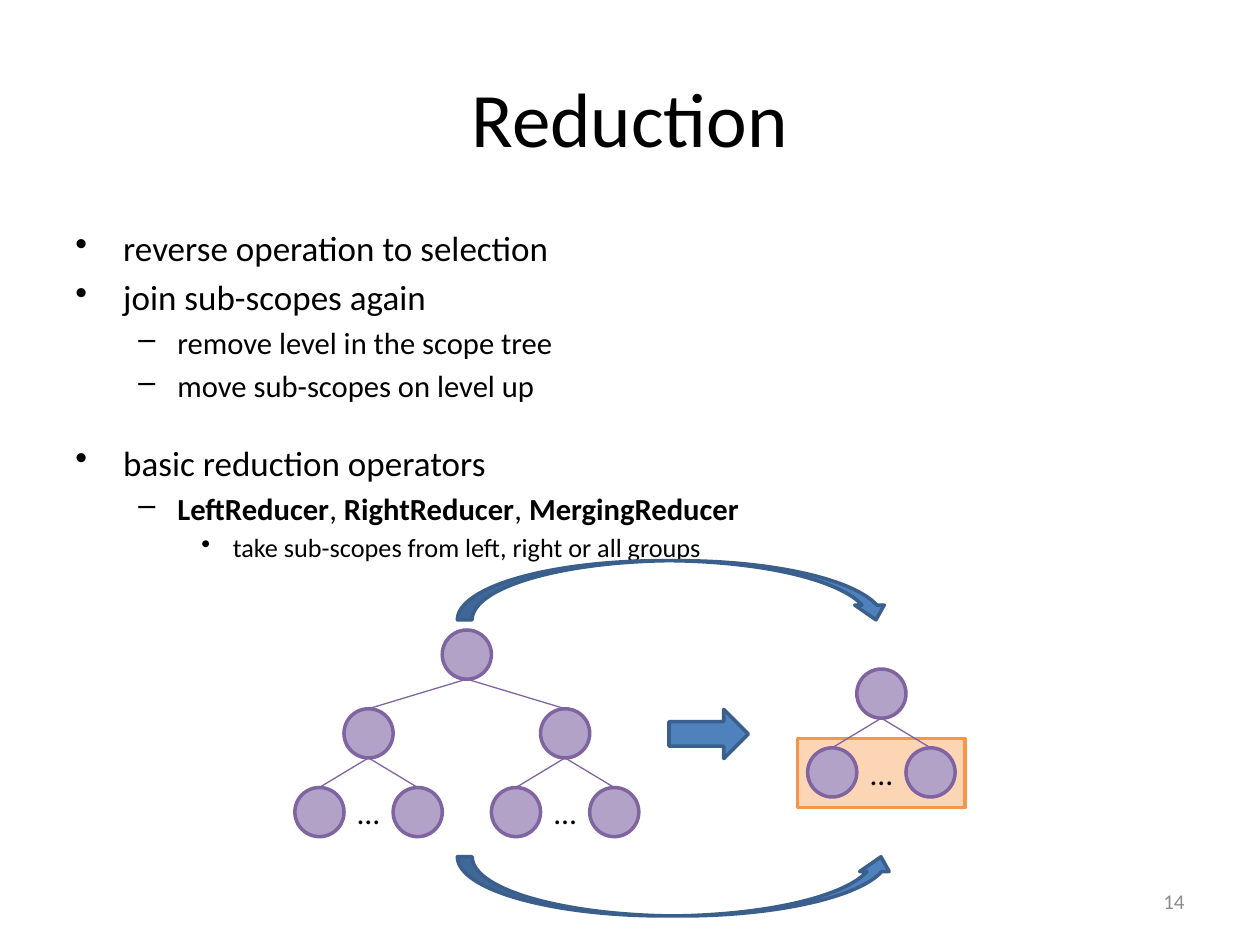
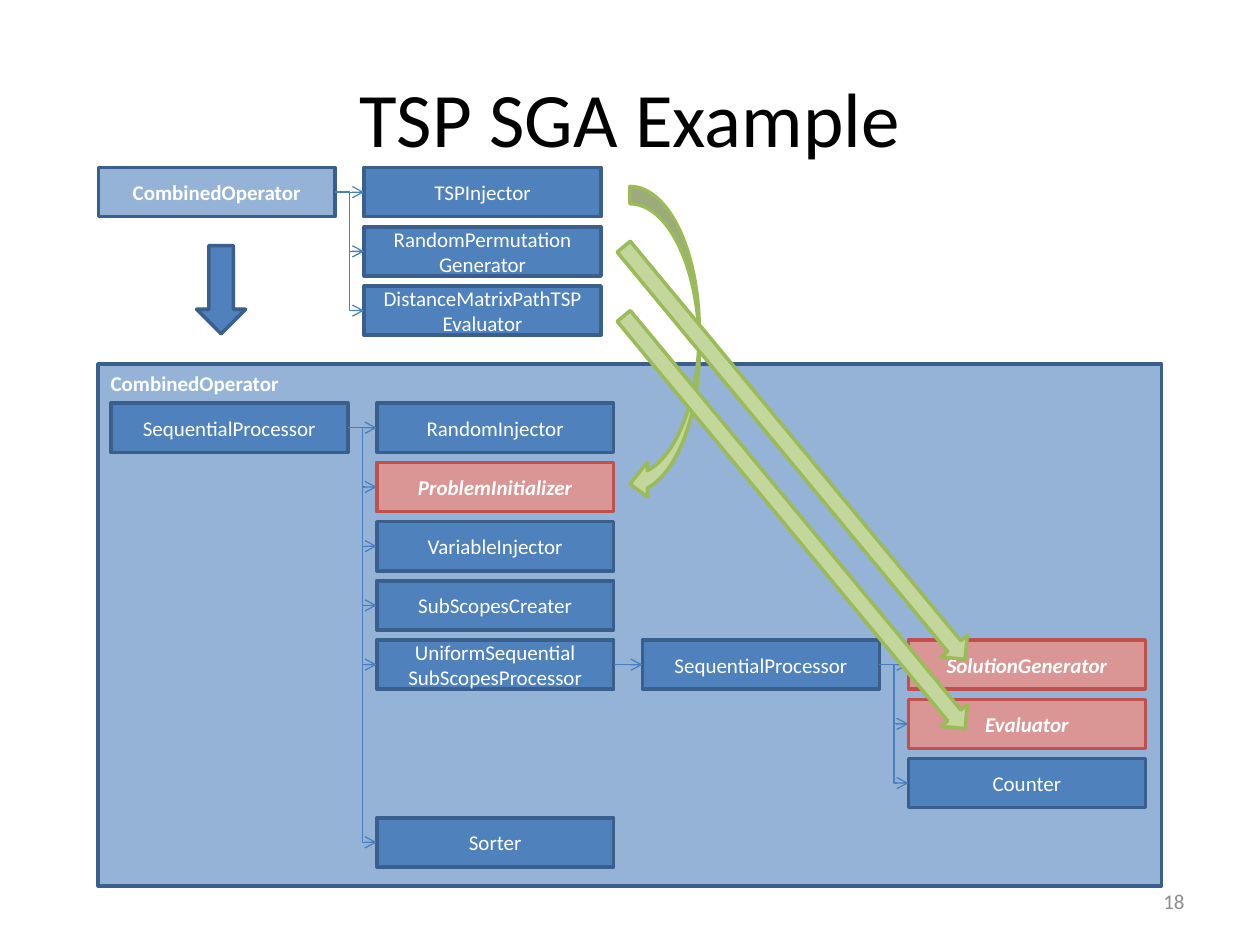
from dataclasses import dataclass
from lxml.etree import SubElement
from pptx import Presentation
from pptx.dml.color import RGBColor
from pptx.enum.shapes import MSO_CONNECTOR as LINK, MSO_SHAPE as KIND
from pptx.enum.text import MSO_ANCHOR, PP_ALIGN
from pptx.oxml.ns import qn
from pptx.util import Inches, Pt


@dataclass(frozen=True)
class Theme:
    font: str = "Calibri"
    ink: str = "000000"
    white: str = "FFFFFF"
    gray: str = "8C8C8C"
    wire: str = "4B7EBC"
    twig: str = "8064A2"
    # Pairs of fill and outline
    blue: tuple = ("4F81BD", "3A5F8C")
    pale: tuple = ("95B3D7", "3A5F8C")
    red: tuple = ("D99694", "C0504D")
    green: tuple = ("C3D69B", "9BBB59")
    plum: tuple = ("B3A2C7", "8064A2")
    peach: tuple = ("FCD5B5", "F79646")
    title: float = 44
    small: float = 12
    dots: float = 18
    edge: float = 2
    thin: float = 0.75


@dataclass(frozen=True)
class Level:
    size: float
    left: float
    hang: float
    mark: str


THEME = Theme()
LEVELS = (
    Level(20, 0.38, 0.38, "•"),
    Level(17.5, 0.81, 0.31, "–"),
    Level(15, 1.25, 0.25, "•"),
)

# Level, text with bold parts between **, extra points above
POINTS = (
    (0, "reverse operation to selection", 0),
    (0, "join sub-scopes again", 0),
    (1, "remove level in the scope tree", 0),
    (1, "move sub-scopes on level up", 0),
    (0, "basic reduction operators", 17.75),
    (1, "**LeftReducer**, **RightReducer**, **MergingReducer**", 0),
    (2, "take sub-scopes from left, right or all groups", 0),
)

NODE = 0.39            # diameter of a tree node
PAIR = 0.78            # distance between sibling leaves
DROP = 0.625           # distance between tree levels
BOX_W, BOX_H = 1.88, 0.39
COL, ROW = 2.11, 0.47  # pitch of the operator grid


def rgb(code):
    return RGBColor.from_string(code)


def style(frame, size, color, align=None, bold=None, italic=None):
    for para in frame.paragraphs:
        if align is not None:
            para.alignment = align
        for run in para.runs:
            font = run.font
            font.name, font.size = THEME.font, Pt(size)
            font.color.rgb = rgb(color)
            font.bold, font.italic = bold, italic


def shape(slide, kind, box, pair, turn=0):
    item = slide.shapes.add_shape(kind, *map(Inches, box))
    item.shadow.inherit = False
    item.fill.solid()
    item.fill.fore_color.rgb = rgb(pair[0])
    item.line.color.rgb = rgb(pair[1])
    item.line.width = Pt(THEME.edge)
    item.rotation = turn
    return item


def label(slide, box, text, size, color, align):
    item = slide.shapes.add_textbox(*map(Inches, box))
    frame = item.text_frame
    frame.word_wrap = True
    frame.vertical_anchor = MSO_ANCHOR.MIDDLE
    frame.text = text
    style(frame, size, color, align)
    return frame


def link(slide, kind, start, end, color):
    item = slide.shapes.add_connector(kind, *map(Inches, (*start, *end)))
    item.line.color.rgb = rgb(color)
    item.line.width = Pt(THEME.thin)
    SubElement(item._element.spPr, qn("a:effectLst"))
    return item


def base(deck, title, number):
    """Add a slide with its title and page number."""
    slide = deck.slides.add_slide(deck.slide_layouts[5])
    head = slide.shapes.title
    head.left, head.top, head.width, head.height = map(Inches, (0.5, 0.3, 9, 1.25))
    head.text_frame.text = title
    head.text_frame.vertical_anchor = MSO_ANCHOR.MIDDLE
    style(head.text_frame, THEME.title, THEME.ink, PP_ALIGN.CENTER)
    label(slide, (7.17, 6.95, 2.33, 0.4), str(number), THEME.small,
          THEME.gray, PP_ALIGN.RIGHT)
    return slide


def bullets(slide, box, points):
    frame = slide.shapes.add_textbox(*map(Inches, box)).text_frame
    frame.word_wrap = True
    for i, (depth, text, gap) in enumerate(points):
        level = LEVELS[depth]
        para = frame.paragraphs[0] if i == 0 else frame.add_paragraph()
        para.space_before = Pt(level.size * 0.2 + gap)
        props = para._p.get_or_add_pPr()
        props.set("marL", str(Inches(level.left)))
        props.set("indent", str(-Inches(level.hang)))
        SubElement(props, qn("a:buChar")).set("char", level.mark)
        for j, part in enumerate(text.split("**")):
            if part:
                run = para.add_run()
                run.text = part
                run.font.name, run.font.size = THEME.font, Pt(level.size)
                run.font.color.rgb = rgb(THEME.ink)
                run.font.bold = j % 2 == 1


def node(slide, x, y):
    shape(slide, KIND.OVAL, (x, y, NODE, NODE), THEME.plum)


def fork(slide, x, y, kids):
    """Add a node with lines down to the nodes that start at each x in kids."""
    node(slide, x, y)
    for kid in kids:
        link(slide, LINK.STRAIGHT, (x + NODE / 2, y + NODE),
             (kid + NODE / 2, y + DROP), THEME.twig)


def group(slide, x, y):
    """Add a parent over two leaves with dots between them."""
    leaves = (x, x + PAIR)
    for leaf in leaves:
        node(slide, leaf, y + DROP)
    frame = label(slide, (x + PAIR / 2, y + DROP, NODE, NODE), "…",
                  THEME.dots, THEME.ink, PP_ALIGN.CENTER)
    frame.margin_left = frame.margin_right = 0
    fork(slide, x + PAIR / 2, y, leaves)


def trees(slide, x, y):
    """Draw the tree before and after reduction."""
    after = x + 4.07
    shape(slide, KIND.RECTANGLE, (after - 0.08, y + 0.86, 1.33, 0.55), THEME.peach)
    group(slide, after, y + 0.31)

    shape(slide, KIND.RIGHT_ARROW, (x + 2.97, y + 0.63, 0.63, 0.39), THEME.blue)
    shape(slide, KIND.CURVED_DOWN_ARROW, (x + 1.29, y - 0.55, 3.44, 0.47), THEME.blue)
    shape(slide, KIND.CURVED_UP_ARROW, (x + 1.29, y + 1.8, 3.48, 0.47), THEME.blue)

    starts = (x, x + 2 * PAIR)
    for start in starts:
        group(slide, start, y + DROP)
    fork(slide, x + 1.5 * PAIR, y, [start + PAIR / 2 for start in starts])


def card(slide, x, y, text, pair=THEME.blue, bold=None):
    slot = pair == THEME.red
    item = shape(slide, KIND.FLOWCHART_PROCESS, (x, y, BOX_W, BOX_H), pair)
    frame = item.text_frame
    frame.text = text
    frame.vertical_anchor = MSO_ANCHOR.MIDDLE
    style(frame, THEME.small, THEME.white, PP_ALIGN.CENTER, bold or slot, slot)
    return item


def wires(slide, source, targets):
    for target in targets:
        wire = link(slide, LINK.ELBOW, (0, 0), (1, 1), THEME.wire)
        wire.begin_connect(source, 3)
        wire.end_connect(target, 1)
        SubElement(wire.line._get_or_add_ln(), qn("a:tailEnd")).set("type", "arrow")


def stack(slide, x, y, cards):
    """Add cards given as row, text and colours in one column."""
    return [card(slide, x, y + row * ROW, text, pair) for row, text, pair in cards]


def inputs(slide, x, y):
    source = card(slide, x, y, "CombinedOperator", THEME.pale, True)
    parts = stack(slide, x + COL, y, (
        (0, "TSPInjector", THEME.blue),
        (1, "RandomPermutation\nGenerator", THEME.blue),
        (2, "DistanceMatrixPathTSP\nEvaluator", THEME.blue),
    ))
    wires(slide, source, parts)


def panel(slide, x, y, width, height):
    """Draw the combined operator and the processors inside it."""
    back = shape(slide, KIND.FLOWCHART_PROCESS, (x, y, width, height), THEME.pale)
    frame = back.text_frame
    frame.text = "CombinedOperator"
    frame.vertical_anchor = MSO_ANCHOR.TOP
    style(frame, THEME.small, THEME.white, PP_ALIGN.LEFT, True)

    left, top = x + 0.1, y + 0.31
    first = card(slide, left, top, "SequentialProcessor")
    steps = stack(slide, left + COL, top, (
        (0, "RandomInjector", THEME.blue),
        (1, "ProblemInitializer", THEME.red),
        (2, "VariableInjector", THEME.blue),
        (3, "SubScopesCreater", THEME.blue),
        (4, "UniformSequential\nSubScopesProcessor", THEME.blue),
        (7, "Sorter", THEME.blue),
    ))
    inner = card(slide, left + 2 * COL, top + 4 * ROW, "SequentialProcessor")
    tasks = stack(slide, left + 3 * COL, top, (
        (4, "SolutionGenerator", THEME.red),
        (5, "Evaluator", THEME.red),
        (6, "Counter", THEME.blue),
    ))
    wires(slide, first, steps)
    wires(slide, steps[4], [inner])
    wires(slide, inner, tasks)


def flows(slide, x, y):
    """Draw the arrows from the inputs to the slots they fill."""
    shape(slide, KIND.CURVED_LEFT_ARROW, (x + 0.82, y, 0.55, 2.5), THEME.green)
    for drop in (2.53, 1.98):
        shape(slide, KIND.RIGHT_ARROW, (x, y + drop, 4.25, 0.27), THEME.green, 50.4)


def reduction(deck):
    slide = base(deck, "Reduction", 14)
    bullets(slide, (0.5, 1.75, 9, 2.63), POINTS)
    trees(slide, 2.34, 5)


def example(deck):
    slide = base(deck, "TSP SGA Example", 18)
    panel(slide, 0.78, 2.89, 8.44, 4.14)
    inputs(slide, 0.78, 1.33)
    flows(slide, 4.18, 1.48)
    shape(slide, KIND.DOWN_ARROW, (1.56, 1.95, 0.39, 0.7), THEME.blue)


def main():
    deck = Presentation()
    deck.slide_width, deck.slide_height = Inches(10), Inches(7.5)
    reduction(deck)
    example(deck)
    deck.save("out.pptx")


if __name__ == "__main__":
    main()
